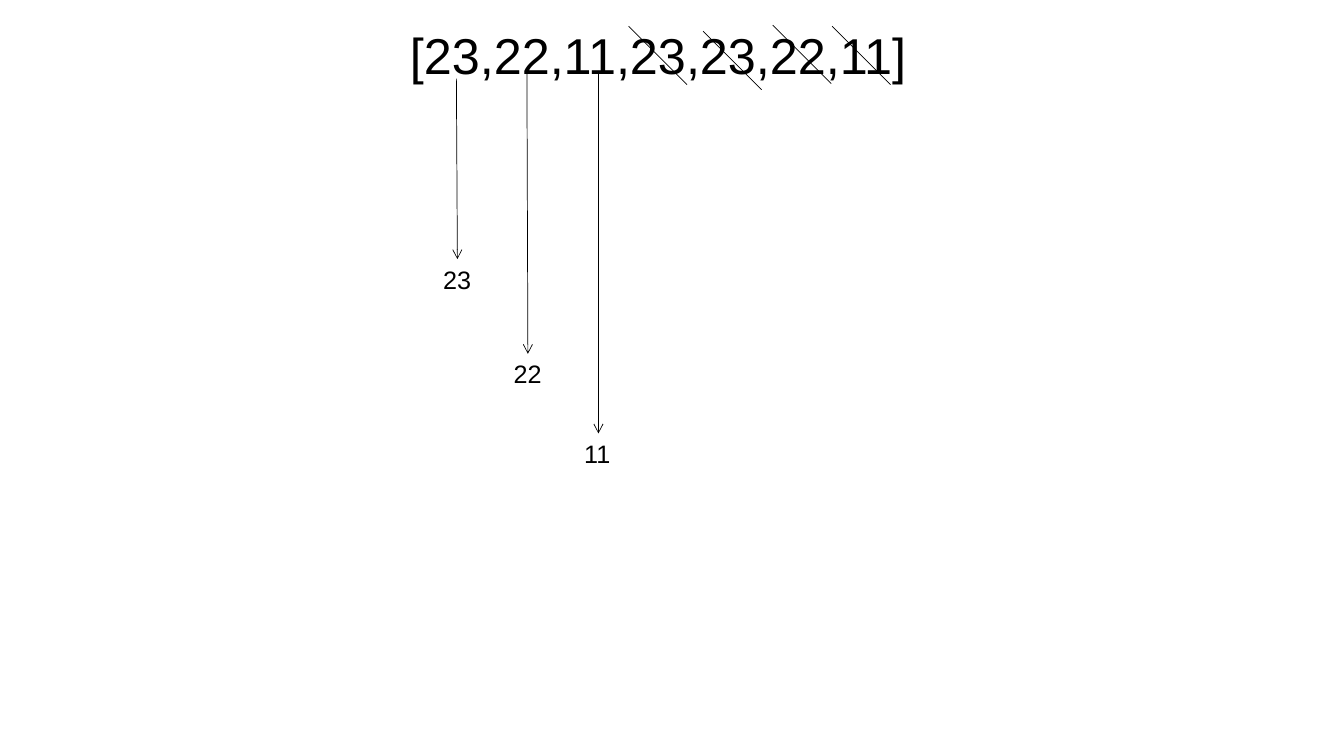
from dataclasses import dataclass

from lxml.etree import SubElement
from pptx import Presentation
from pptx.dml.color import RGBColor
from pptx.enum.shapes import MSO_CONNECTOR
from pptx.enum.text import MSO_AUTO_SIZE
from pptx.oxml.ns import qn
from pptx.shapes.autoshape import Shape
from pptx.shapes.connector import Connector
from pptx.slide import Slide
from pptx.util import Inches, Pt

COLORS = {"ink": "000000"}
FONT = "Arial"
LABEL_W, LABEL_H = 0.48, 0.4
STRIKE = 0.58


@dataclass
class UniqueValue:
    text: str
    left: float
    top: float
    arrow_x: float
    arrow_y: float


@dataclass
class Strike:
    left: float
    top: float


UNIQUE_VALUES = [
    UniqueValue("23", 4.3, 2.57, 4.53, 0.78),
    UniqueValue("22", 5.0, 3.51, 5.23, 0.7),
    UniqueValue("11", 5.7, 4.3, 5.94, 0.7),
]
STRIKES = [Strike(6.24, 0.26), Strike(6.98, 0.31), Strike(7.67, 0.25), Strike(8.26, 0.26)]


def add_text(s: Slide, text: str, left: float, top: float,
             width: float, height: float, size: int) -> Shape:
    sp = s.shapes.add_textbox(Inches(left), Inches(top), Inches(width), Inches(height))
    tf = sp.text_frame
    tf.word_wrap = False
    tf.auto_size = MSO_AUTO_SIZE.SHAPE_TO_FIT_TEXT
    p = tf.paragraphs[0]
    p.text = text
    p.font.name = FONT
    p.font.size = Pt(size)
    p.font.color.rgb = RGBColor.from_string(COLORS["ink"])
    return sp


def add_line(s: Slide, x1: float, y1: float, x2: float, y2: float) -> Connector:
    line = s.shapes.add_connector(
        MSO_CONNECTOR.STRAIGHT, Inches(x1), Inches(y1), Inches(x2), Inches(y2))
    line.line.color.rgb = RGBColor.from_string(COLORS["ink"])
    line.line.width = Pt(0.5)
    SubElement(line._element.spPr, qn("a:effectLst"))
    return line


def add_unique_value(s: Slide, value: UniqueValue) -> None:
    """Draw the label and the arrow that drops to it from the list."""
    label = add_text(s, value.text, value.left, value.top, LABEL_W, LABEL_H, 18)
    arrow = add_line(s, value.arrow_x, value.arrow_y, value.left + LABEL_W / 2, value.top)
    arrow.end_connect(label, 0)
    SubElement(arrow.line._get_or_add_ln(), qn("a:tailEnd"), type="arrow")


def main() -> None:
    prs = Presentation()
    prs.slide_width, prs.slide_height = Inches(13.34), Inches(7.5)
    s = prs.slides.add_slide(prs.slide_layouts[6])
    add_text(s, "[23,22,11,23,23,22,11]", 3.97, 0.19, 5.2, 0.7, 36)
    for value in UNIQUE_VALUES:
        add_unique_value(s, value)
    for strike in STRIKES:
        add_line(s, strike.left, strike.top, strike.left + STRIKE, strike.top + STRIKE)
    prs.save("out.pptx")


if __name__ == "__main__":
    main()
